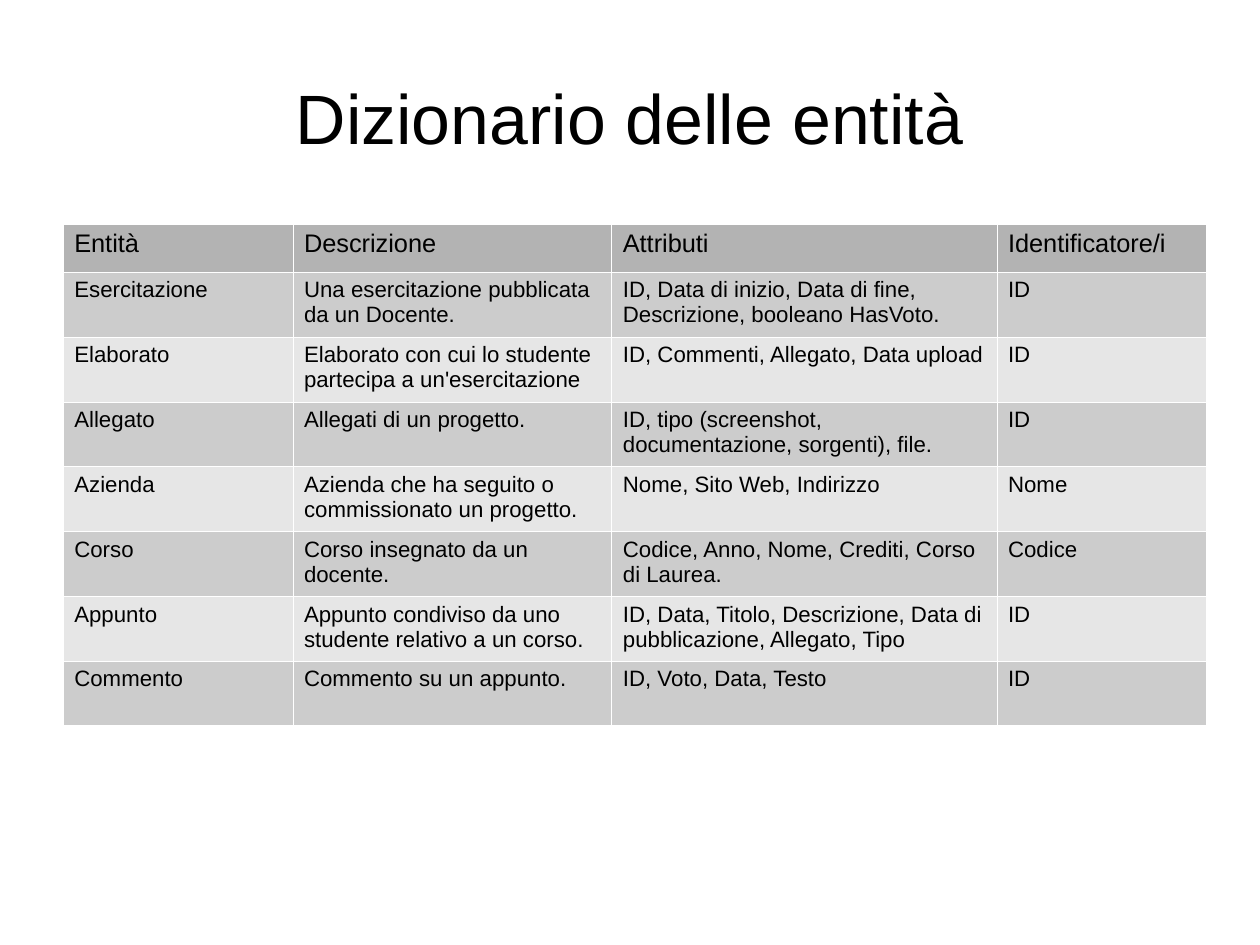
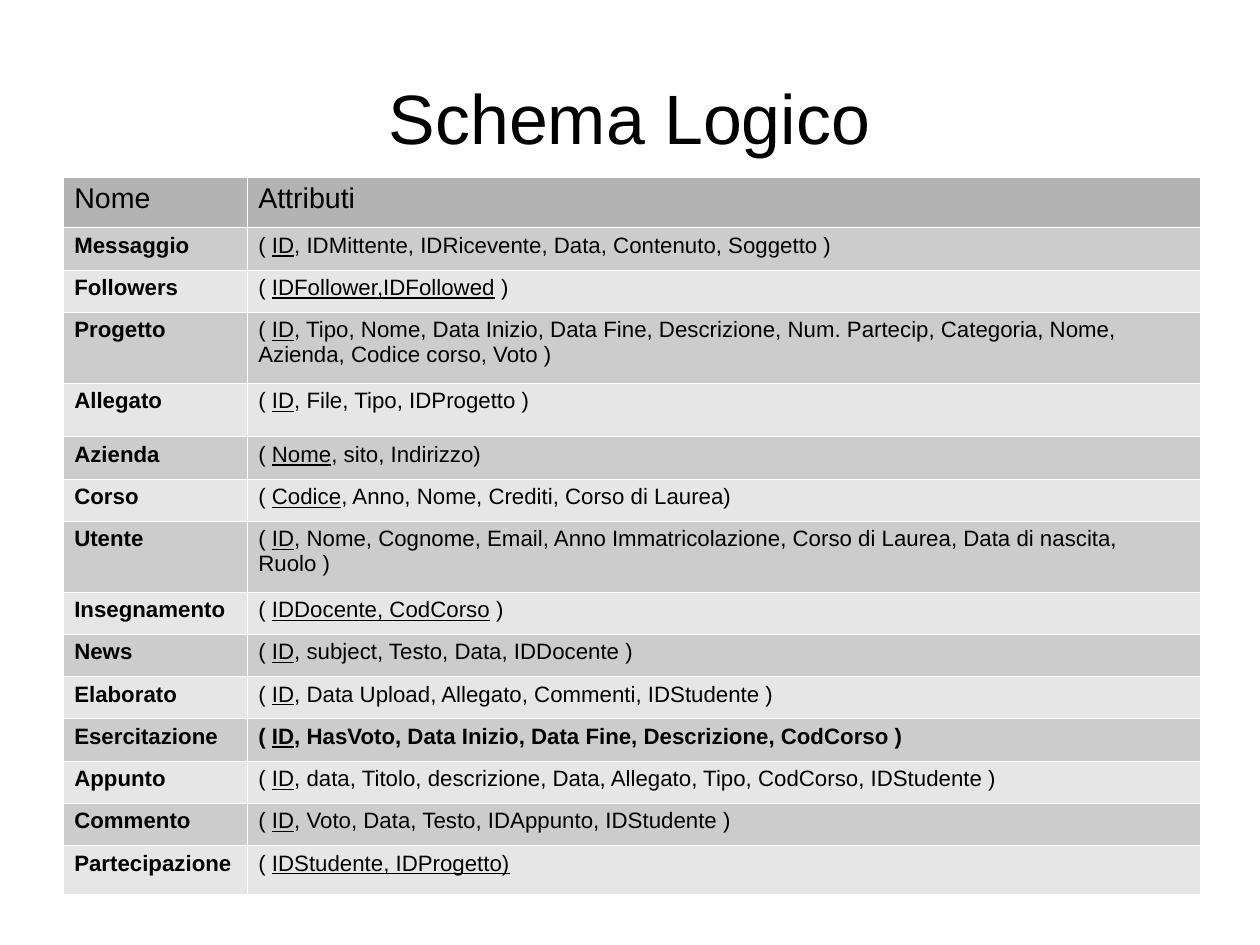
import pptx
import pptx.dml.color
import pptx.enum.text
import pptx.oxml
import pptx.oxml.ns
import pptx.util
from pptx.util import Inches

COLORS = {
    "text": "000000",
    "header": "B3B3B3",
    "odd": "CCCCCC",
    "even": "E6E6E6",
    "border": "FFFFFF",
}
FONT = "Arial"
TITLE_SIZE = 44
BODY_SIZE = 14
BORDER_PT = 0.06
LEFT = 0.55

ENTITY_HEADER = ["Entità", "Descrizione", "Attributi", "Identificatore/i"]
ENTITIES = [
    ("Esercitazione", "Una esercitazione pubblicata da un Docente.",
     "ID, Data di inizio, Data di fine, Descrizione, booleano HasVoto.", "ID"),
    ("Elaborato", "Elaborato con cui lo studente partecipa a un'esercitazione",
     "ID, Commenti, Allegato, Data upload", "ID"),
    ("Allegato", "Allegati di un progetto.",
     "ID, tipo (screenshot, documentazione, sorgenti), file.", "ID"),
    ("Azienda", "Azienda che ha seguito o commissionato un progetto.",
     "Nome, Sito Web, Indirizzo", "Nome"),
    ("Corso", "Corso insegnato da un docente.",
     "Codice, Anno, Nome, Crediti, Corso di Laurea.", "Codice"),
    ("Appunto", "Appunto condiviso da uno studente relativo a un corso.",
     "ID, Data, Titolo, Descrizione, Data di pubblicazione, Allegato, Tipo", "ID"),
    ("Commento", "Commento su un appunto.", "ID, Voto, Data, Testo", "ID"),
]

SCHEMA_HEADER = ["Nome", "Attributi"]
BOLD_RELATION = "Esercitazione"
RELATIONS = [
    ("Messaggio", "ID", ", IDMittente, IDRicevente, Data, Contenuto, Soggetto )"),
    ("Followers", "IDFollower,IDFollowed", " )"),
    ("Progetto", "ID", ", Tipo, Nome, Data Inizio, Data Fine, Descrizione, Num. Partecip, "
     "Categoria, Nome, Azienda, Codice corso, Voto )"),
    ("Allegato", "ID", ", File, Tipo, IDProgetto )"),
    ("Azienda", "Nome", ", sito, Indirizzo)"),
    ("Corso", "Codice", ", Anno, Nome, Crediti, Corso di Laurea)"),
    ("Utente", "ID", ", Nome, Cognome, Email, Anno Immatricolazione, Corso di Laurea, "
     "Data di nascita, Ruolo )"),
    ("Insegnamento", "IDDocente, CodCorso", " )"),
    ("News", "ID", ", subject, Testo, Data, IDDocente )"),
    ("Elaborato", "ID", ", Data Upload, Allegato, Commenti, IDStudente )"),
    ("Esercitazione", "ID", ", HasVoto, Data Inizio, Data Fine, Descrizione, CodCorso )"),
    ("Appunto", "ID", ", data, Titolo, descrizione, Data, Allegato, Tipo, CodCorso, IDStudente )"),
    ("Commento", "ID", ", Voto, Data, Testo, IDAppunto, IDStudente )"),
    ("Partecipazione", "IDStudente, IDProgetto)", ""),
]
SCHEMA_ROW = 0.37
SCHEMA_TALL_ROWS = {"Progetto": 0.62, "Utente": 0.62, "Allegato": 0.47, "Partecipazione": 0.43}


def rgb(name):
    return pptx.dml.color.RGBColor.from_string(COLORS[name])


def add_run(p, text, size, **formats):
    r = p.add_run()
    r.text = text
    values = {"name": FONT, "size": pptx.util.Pt(size), "bold": False, **formats}
    for key, value in values.items():
        setattr(r.font, key, value)
    r.font.color.rgb = rgb("text")


def add_title(s, text):
    sp = s.shapes.add_textbox(Inches(LEFT), Inches(0.33), Inches(9.92), Inches(1.38))
    tf = sp.text_frame
    formats = {
        "word_wrap": True,
        "vertical_anchor": pptx.enum.text.MSO_ANCHOR.MIDDLE,
        "margin_left": 0, "margin_top": 0, "margin_right": 0, "margin_bottom": 0,
    }
    for key, value in formats.items():
        setattr(tf, key, value)
    p = tf.paragraphs[0]
    p.alignment = pptx.enum.text.PP_ALIGN.CENTER
    add_run(p, text, TITLE_SIZE)


def add_borders(cell):
    tc_pr = cell._tc.get_or_add_tcPr()
    for side in ("lnL", "lnR", "lnT", "lnB"):
        tc_pr.append(pptx.oxml.parse_xml(
            f'<a:{side} {pptx.oxml.ns.nsdecls("a")} w="{pptx.util.Pt(BORDER_PT)}">'
            f'<a:solidFill><a:srgbClr val="{COLORS["border"]}"/></a:solidFill></a:{side}>'))


def add_table(s, top, widths, heights, header, header_size, rows):
    frame = s.shapes.add_table(len(heights), len(widths), Inches(LEFT), Inches(top),
                               Inches(sum(widths)), Inches(sum(heights)))
    table = frame.table
    for column, width in zip(table.columns, widths):
        column.width = Inches(width)
    for row, height in zip(table.rows, heights):
        row.height = Inches(height)
    header_row = [[(text, {})] for text in header]
    for i, row in enumerate([header_row, *rows]):
        fill = "header" if i == 0 else "odd" if i % 2 else "even"
        size = header_size if i == 0 else BODY_SIZE
        for j, runs in enumerate(row):
            cell = table.cell(i, j)
            add_borders(cell)
            cell.fill.solid()
            cell.fill.fore_color.rgb = rgb(fill)
            for text, formats in runs:
                add_run(cell.text_frame.paragraphs[0], text, size, **formats)


def relation_row(name, key, rest):
    bold = name == BOLD_RELATION
    attributes = [("( ", {"bold": bold}), (key, {"bold": bold, "underline": True})]
    if rest:
        attributes.append((rest, {"bold": bold}))
    return [[(name, {"bold": True})], attributes]


def add_slide(prs, title):
    s = prs.slides.add_slide(prs.slide_layouts[6])
    add_title(s, title)
    return s


def main():
    prs = pptx.Presentation()
    prs.slide_width = pptx.util.Cm(28)
    prs.slide_height = pptx.util.Cm(21)

    s = add_slide(prs, "Dizionario delle entità")
    add_table(s, 1.96, [2.01, 2.79, 3.37, 1.83], [0.42] + [0.56] * len(ENTITIES),
              ENTITY_HEADER, 16, [[[(text, {})] for text in row] for row in ENTITIES])

    s = add_slide(prs, "Schema Logico")
    heights = [SCHEMA_TALL_ROWS.get(name, SCHEMA_ROW) for name, _, _ in RELATIONS]
    add_table(s, 1.55, [1.61, 8.34], [0.44] + heights,
              SCHEMA_HEADER, 18, [relation_row(*relation) for relation in RELATIONS])

    prs.save("out.pptx")


if __name__ == "__main__":
    main()
